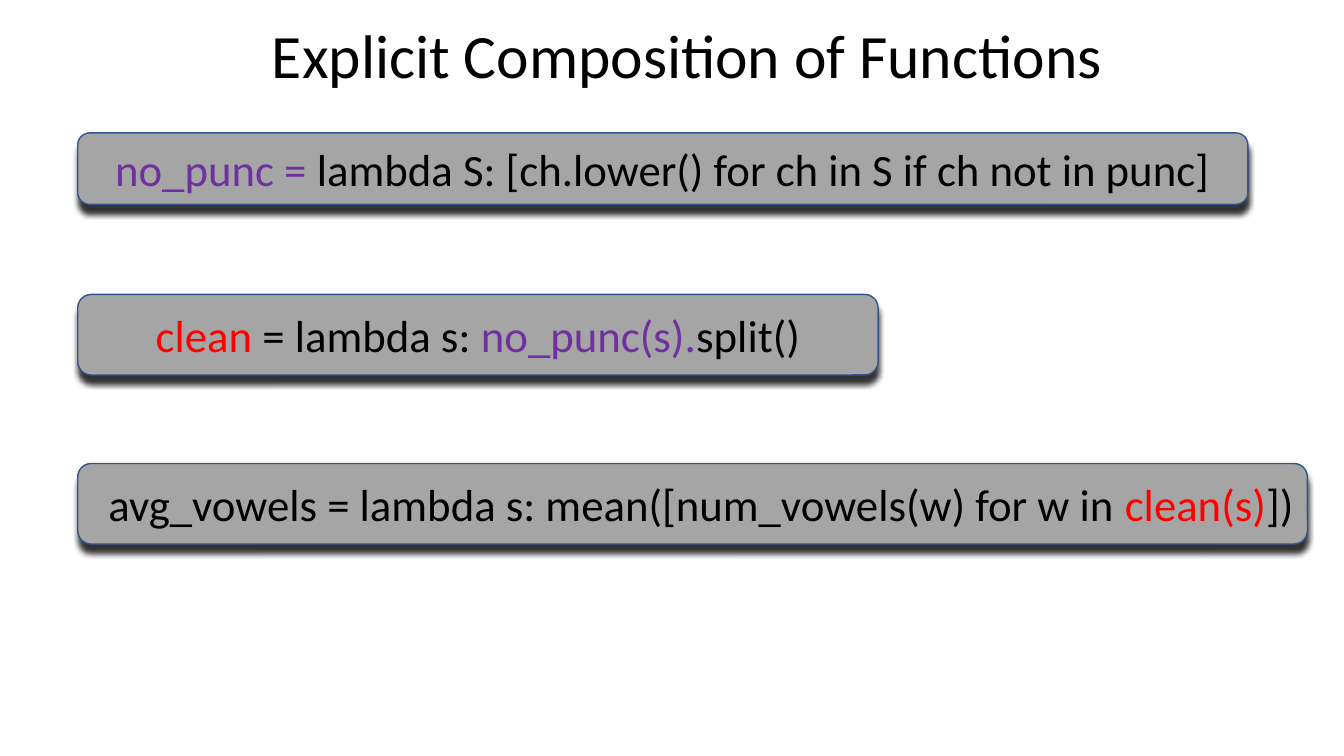
from dataclasses import dataclass

from lxml import etree
from pptx import Presentation
from pptx.dml.color import RGBColor
from pptx.enum.shapes import MSO_SHAPE
from pptx.enum.text import MSO_ANCHOR, MSO_AUTO_SIZE, PP_ALIGN
from pptx.oxml.ns import qn
from pptx.util import Cm, Pt

ROUND = MSO_SHAPE.ROUNDED_RECTANGLE
TOP, MIDDLE = MSO_ANCHOR.TOP, MSO_ANCHOR.MIDDLE
GROW = MSO_AUTO_SIZE.SHAPE_TO_FIT_TEXT
LEFT, CENTER, RIGHT = PP_ALIGN.LEFT, PP_ALIGN.CENTER, PP_ALIGN.RIGHT


@dataclass(frozen=True)
class Theme:
    font: str = "Calibri"
    head: int = 44
    code: int = 32
    ink: str = "000000"
    purple: str = "7030A0"
    red: str = "FF0000"
    fill: str = "A5A5A5"
    edge: str = "325491"
    shade: str = "000000"


def assign(target, values):
    for name, value in values.items():
        setattr(target, name, value)


class Deck:
    def __init__(self, theme):
        self.theme = theme
        self.file = Presentation()
        assign(self.file, {"slide_width": Cm(33.87), "slide_height": Cm(19.05)})
        self.slide = self.file.slides.add_slide(self.file.slide_layouts[5])

    def letter(self, line, parts, size, align):
        """Fill a paragraph with (text, colour) parts."""
        line.alignment = align
        for text, color in parts:
            run = line.add_run()
            run.text = text
            assign(run.font, {"name": self.theme.font, "size": Pt(size)})
            run.font.color.rgb = RGBColor.from_string(color)

    def title(self, text, left, top, width, height):
        title = self.slide.shapes.title
        assign(title, {"left": Cm(left), "top": Cm(top),
                       "width": Cm(width), "height": Cm(height)})
        frame = title.text_frame
        assign(frame, {"word_wrap": False, "auto_size": GROW,
                       "vertical_anchor": TOP})
        self.letter(frame.paragraphs[0], [(text, self.theme.ink)],
                    self.theme.head, LEFT)

    def shadow(self, shape):
        """Cast a soft dark shadow straight down."""
        shape.shadow.inherit = False
        effects = shape.element.spPr.find(qn("a:effectLst"))
        outer = etree.SubElement(effects, qn("a:outerShdw"), {
            "blurRad": str(Pt(4)), "dist": str(Pt(6)),
            "dir": "5400000", "rotWithShape": "0"})
        color = etree.SubElement(outer, qn("a:srgbClr"), val=self.theme.shade)
        etree.SubElement(color, qn("a:alpha"), val="80000")

    def code(self, parts, left, top, width, height, align):
        box = self.slide.shapes.add_shape(
            ROUND, Cm(left), Cm(top), Cm(width), Cm(height))
        box.fill.solid()
        box.fill.fore_color.rgb = RGBColor.from_string(self.theme.fill)
        box.line.color.rgb = RGBColor.from_string(self.theme.edge)
        box.line.width = Pt(1)
        self.shadow(box)
        frame = box.text_frame
        assign(frame, {"word_wrap": True, "vertical_anchor": MIDDLE})
        self.letter(frame.paragraphs[0], parts, self.theme.code, align)


def main():
    theme = Theme()
    ink, purple, red = theme.ink, theme.purple, theme.red
    deck = Deck(theme)
    deck.title("Explicit Composition of Functions", 6.6, 0.3, 21.69, 2.13)
    rows = [
        (3.35, 29.49, 1.8, CENTER, [
            ("no_punc = ", purple),
            ("lambda S: [ch.lower() for ch in S if ch not in punc]", ink)]),
        (7.42, 20.17, 2.03, CENTER, [
            ("clean", red), (" = lambda s: ", ink),
            ("no_punc(s).", purple), ("split()", ink)]),
        (11.68, 30.99, 2.03, RIGHT, [
            ("avg_vowels = lambda s: mean([num_vowels(w) for w in ", ink),
            ("clean(s)", red), ("])", ink)]),
    ]
    for top, width, height, align, parts in rows:
        deck.code(parts, 1.96, top, width, height, align)
    deck.file.save("out.pptx")


if __name__ == "__main__":
    main()
